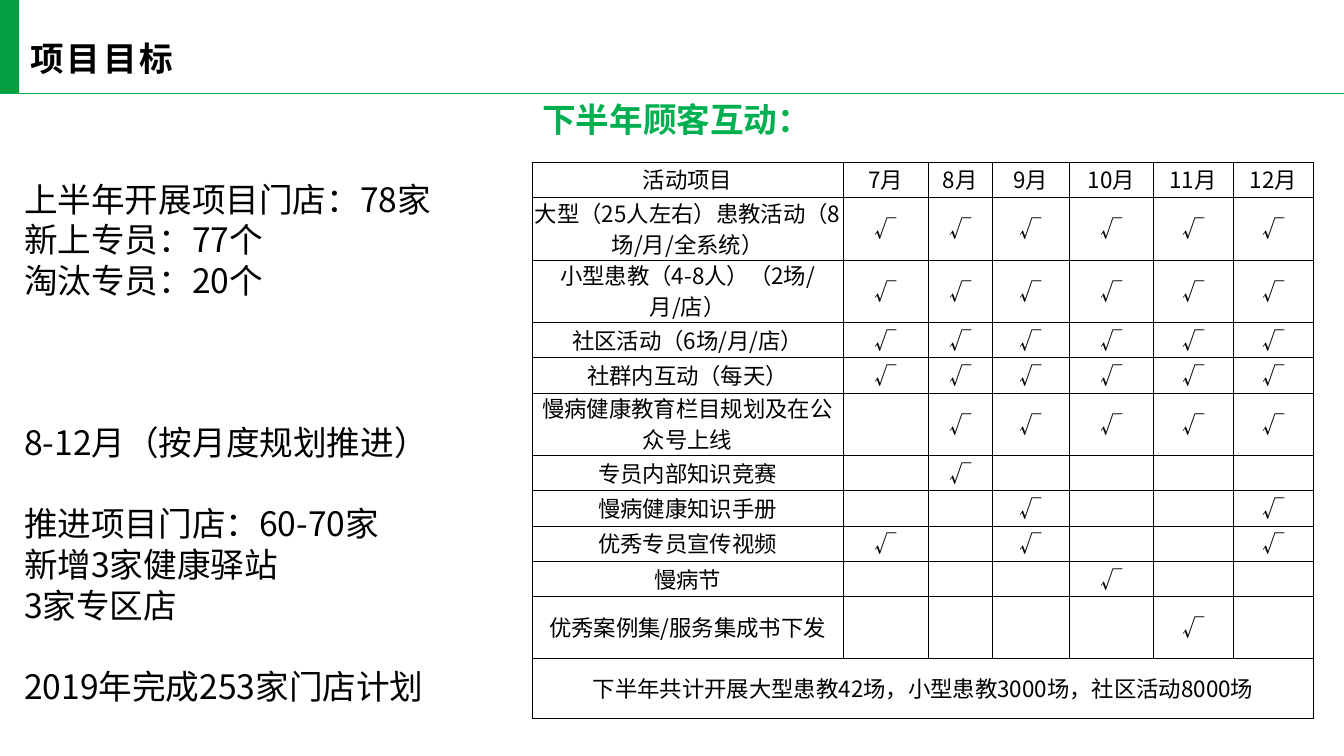
from lxml.etree import SubElement
from pptx import Presentation
from pptx.dml.color import RGBColor
from pptx.enum.shapes import MSO_CONNECTOR, MSO_SHAPE
from pptx.enum.text import MSO_ANCHOR, PP_ALIGN
from pptx.oxml import parse_xml
from pptx.oxml.ns import nsdecls, qn
from pptx.util import Inches, Pt

TITLE = "项目目标"
HEADING = "下半年顾客互动："
# Each group of lines is preceded by a gap, counted in lines
GOALS = [
    (0, ["上半年开展项目门店：78家", "新上专员：77个", "淘汰专员：20个"]),
    (3, ["8-12月（按月度规划推进）"]),
    (1, ["推进项目门店：60-70家", "新增3家健康驿站", "3家专区店"]),
    (1, ["2019年完成253家门店计划"]),
]
MONTHS = range(7, 13)
# Activity, months in which it takes place, row height
ACTIVITIES = [
    ("大型（25人左右）患教活动（8场/月/全系统）", MONTHS, 0.62),
    ("小型患教（4-8人）（2场/月/店）", MONTHS, 0.62),
    ("社区活动（6场/月/店）", MONTHS, 0.35),
    ("社群内互动（每天）", MONTHS, 0.35),
    ("慢病健康教育栏目规划及在公众号上线", range(8, 13), 0.62),
    ("专员内部知识竞赛", [8], 0.35),
    ("慢病健康知识手册", [9, 12], 0.35),
    ("优秀专员宣传视频", [7, 9, 12], 0.35),
    ("慢病节", [10], 0.35),
    ("优秀案例集/服务集成书下发", [11], 0.61),
]
TOTAL = "下半年共计开展大型患教42场，小型患教3000场，社区活动8000场"
HEADER_H, TOTAL_H = 0.35, 0.6
COL_W = [3.08, 0.85, 0.63, 0.77, 0.83, 0.79, 0.8]

COLORS = {"bar": "029E42", "green": "00B050", "black": "000000"}
CJK = "Noto Sans CJK SC"
SLIDE_W, SLIDE_H = 13.33, 7.5
RULE_Y, BAR_W = 0.93, 0.19
TABLE_X, TABLE_Y = 5.28, 1.61
GOAL_LINE, CELL_LINE = 29, 22


def color(name):
    return RGBColor.from_string(COLORS[name])


def add_run(p, text, size, name=CJK, fill="black", bold=False):
    r = p.add_run()
    r.text = text
    for key, value in {"size": Pt(size), "name": name, "bold": bold}.items():
        setattr(r.font, key, value)
    r.font.color.rgb = color(fill)
    SubElement(r._r.get_or_add_rPr(), qn("a:ea")).set("typeface", CJK)
    return r


def add_box(s, x, y, w, h, wrap):
    tf = s.shapes.add_textbox(*map(Inches, (x, y, w, h))).text_frame
    tf.word_wrap = wrap
    return tf


def add_frame(s):
    """Draw the green bar, the rule under the title and the title itself."""
    bar = s.shapes.add_shape(MSO_SHAPE.RECTANGLE, 0, 0, Inches(BAR_W), Inches(RULE_Y))
    bar.shadow.inherit = False
    bar.fill.solid()
    bar.fill.fore_color.rgb = color("bar")
    bar.line.fill.background()

    rule = s.shapes.add_connector(
        MSO_CONNECTOR.STRAIGHT, 0, Inches(RULE_Y), Inches(SLIDE_W), Inches(RULE_Y))
    rule.line.color.rgb = color("green")
    rule.line.width = Pt(1)
    SubElement(rule._element.spPr, qn("a:effectLst"))

    title = s.shapes.title
    place = {"left": BAR_W, "top": 0.22, "width": 5.88, "height": RULE_Y - 0.22}
    for key, value in place.items():
        setattr(title, key, Inches(value))
    tf = title.text_frame
    margins = {"margin_left": 0.11, "margin_top": 0.04,
               "margin_right": 0.08, "margin_bottom": 0.04}
    for key, value in margins.items():
        setattr(tf, key, Inches(value))
    tf.vertical_anchor = MSO_ANCHOR.MIDDLE
    p = tf.paragraphs[0]
    p.alignment = PP_ALIGN.LEFT
    r = add_run(p, TITLE, 24, name="Arial", bold=True)
    r._r.get_or_add_rPr().set("spc", "200")


def add_goals(s):
    tf = add_box(s, 0.14, 1.72, 5.01, 5.6, True)
    p = tf.paragraphs[0]
    for gap, lines in GOALS:
        for i, line in enumerate(lines):
            if p.runs:
                p = tf.add_paragraph()
            p.line_spacing = Pt(GOAL_LINE)
            if gap and i == 0:
                p.space_before = Pt(gap * GOAL_LINE)
            add_run(p, line, 24)


def format_cell(cell, text):
    cell.fill.background()
    tcPr = cell._tc.get_or_add_tcPr()
    for i, side in enumerate(("lnL", "lnR", "lnT", "lnB")):
        tcPr.insert(i, parse_xml(
            f'<a:{side} {nsdecls("a")} w="6350"><a:solidFill>'
            f'<a:srgbClr val="{COLORS["black"]}"/></a:solidFill></a:{side}>'))
    margins = {"margin_left": 0.02, "margin_right": 0.02,
               "margin_top": 0, "margin_bottom": 0}
    for key, value in margins.items():
        setattr(cell, key, Inches(value))
    cell.vertical_anchor = MSO_ANCHOR.MIDDLE
    p = cell.text_frame.paragraphs[0]
    p.alignment = PP_ALIGN.CENTER
    p.line_spacing = Pt(CELL_LINE)
    if text:
        add_run(p, text, 16)


def add_plan(s):
    """Draw the table of activities by month."""
    rows = [["活动项目"] + [f"{m}月" for m in MONTHS]]
    rows += [[name] + ["√" if m in held else "" for m in MONTHS]
             for name, held, _ in ACTIVITIES]
    rows.append([TOTAL] + [""] * len(MONTHS))
    heights = [HEADER_H] + [h for _, _, h in ACTIVITIES] + [TOTAL_H]

    table = s.shapes.add_table(
        len(rows), len(COL_W), Inches(TABLE_X), Inches(TABLE_Y),
        Inches(sum(COL_W)), Inches(sum(heights))).table
    for key in ("first_row", "horz_banding"):
        setattr(table, key, False)
    for col, w in zip(table.columns, COL_W):
        col.width = Inches(w)
    for i, (texts, h) in enumerate(zip(rows, heights)):
        table.rows[i].height = Inches(h)
        for j, text in enumerate(texts):
            format_cell(table.cell(i, j), text)
    last = len(rows) - 1
    table.cell(last, 0).merge(table.cell(last, len(COL_W) - 1))


def main():
    prs = Presentation()
    prs.slide_width, prs.slide_height = Inches(SLIDE_W), Inches(SLIDE_H)
    s = prs.slides.add_slide(prs.slide_layouts[5])
    add_frame(s)
    add_goals(s)
    add_plan(s)
    heading = add_box(s, TABLE_X, RULE_Y, 2.87, 0.5, False)
    p = heading.paragraphs[0]
    p.line_spacing = Pt(GOAL_LINE)
    add_run(p, HEADING, 24, fill="green", bold=True)
    prs.save("out.pptx")


if __name__ == "__main__":
    main()
